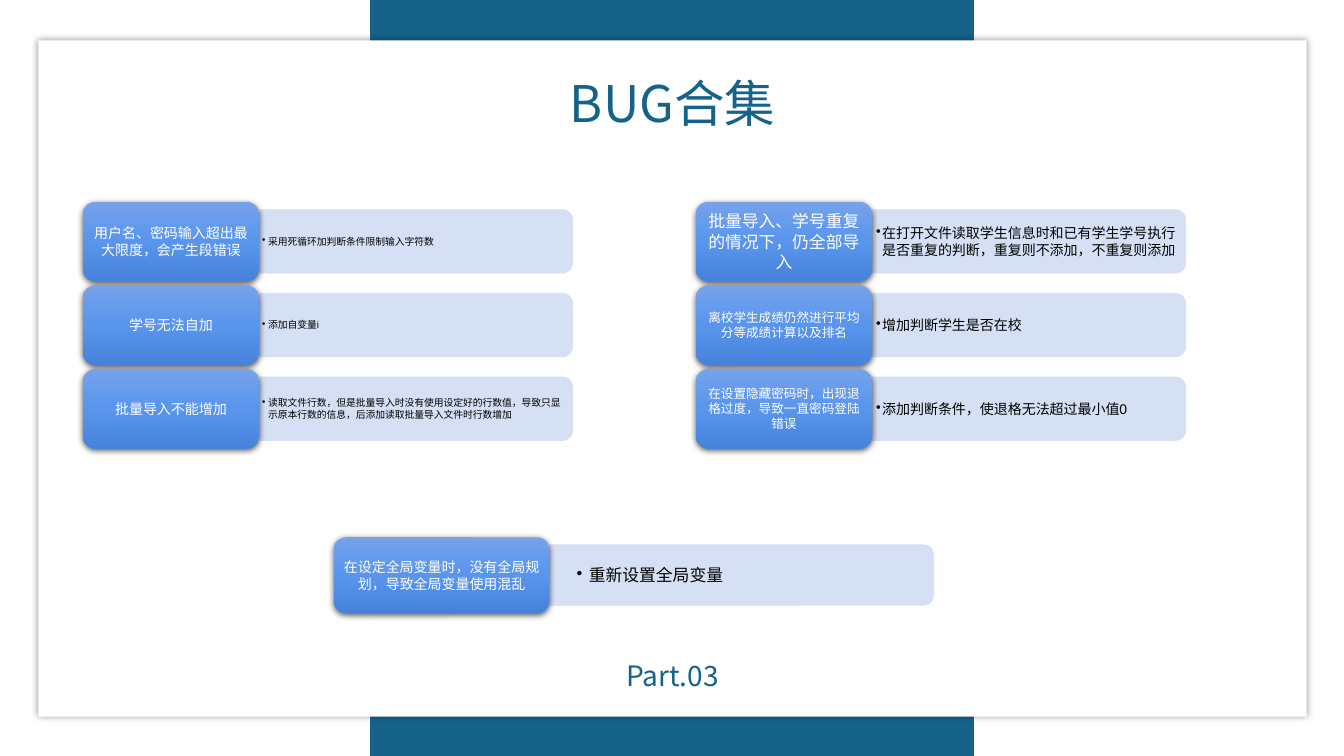
from dataclasses import dataclass

from lxml import etree
from pptx import Presentation
from pptx.dml.color import RGBColor
from pptx.enum.shapes import MSO_SHAPE
from pptx.enum.text import MSO_ANCHOR, MSO_AUTO_SIZE, PP_ALIGN
from pptx.oxml.ns import qn
from pptx.util import Inches, Pt

RECT = MSO_SHAPE.RECTANGLE
ROUNDED = MSO_SHAPE.ROUNDED_RECTANGLE
ROUND_TOP = MSO_SHAPE.ROUND_2_SAME_RECTANGLE
MIDDLE = MSO_ANCHOR.MIDDLE
CENTER, LEFT = PP_ALIGN.CENTER, PP_ALIGN.LEFT


@dataclass(frozen=True)
class Theme:
    brand: str = "156389"
    paper: str = "FFFFFF"
    ink: str = "000000"
    bar: str = "D2DDF5"
    card: tuple = ("76A2EA", "5995ED", "4783DA")
    body_font: str = "Arial"
    head_font: str = "Noto Sans CJK SC"
    title_size: int = 36
    part_size: int = 20


class Deck:
    def __init__(self, prs, theme):
        self.theme = theme
        self.shapes = prs.slides.add_slide(prs.slide_layouts[6]).shapes

    def shape(self, kind, x, y, w, h, color):
        s = self.shapes.add_shape(kind, Inches(x), Inches(y), Inches(w), Inches(h))
        s.shadow.inherit = False
        s.fill.solid()
        s.fill.fore_color.rgb = RGBColor.from_string(color)
        s.line.fill.background()
        return s

    def shadow(self, s, alpha, blur, dist):
        """Add a black shadow falling straight down; blur and dist are in points."""
        effects = s._element.spPr.find(qn("a:effectLst"))
        outer = etree.SubElement(effects, qn("a:outerShdw"), blurRad=str(Pt(blur)),
                                 dist=str(Pt(dist)), dir="5400000", rotWithShape="0")
        color = etree.SubElement(outer, qn("a:srgbClr"), val=self.theme.ink)
        etree.SubElement(color, qn("a:alpha"), val=str(alpha * 1000))

    def set_text(self, s, text, size, color, font, align=CENTER, insets=(0.1, 0.05)):
        tf = s.text_frame
        tf.word_wrap = True
        tf.margin_left = tf.margin_right = Inches(insets[0])
        tf.margin_top = tf.margin_bottom = Inches(insets[1])
        p = tf.paragraphs[0]
        p.text = text
        p.alignment = align
        p.font.size = Pt(size)
        p.font.name = font
        p.font.color.rgb = RGBColor.from_string(color)
        return tf

    def textbox(self, x, y, w, h):
        return self.shapes.add_textbox(Inches(x), Inches(y), Inches(w), Inches(h))

    def heading(self, x, y, w, h, text, size):
        s = self.textbox(x, y, w, h)
        tf = self.set_text(s, text, size, self.theme.brand, self.theme.head_font)
        tf.auto_size = MSO_AUTO_SIZE.SHAPE_TO_FIT_TEXT
        rPr = tf.paragraphs[0].runs[0]._r.get_or_add_rPr()
        etree.SubElement(rPr, qn("a:ea"), typeface=self.theme.head_font)

    def bar(self, x, y, w, h):
        """Draw a bar rounded on its right end: a round-top shape turned by 90 degrees."""
        s = self.shape(ROUND_TOP, x + (w - h) / 2, y + (h - w) / 2, h, w, self.theme.bar)
        s.rotation = 90
        s.line.color.rgb = RGBColor.from_string(self.theme.bar)
        s.line.width = Pt(0.5)
        for color in s._element.spPr.iter(qn("a:srgbClr")):
            etree.SubElement(color, qn("a:alpha"), val="90000")

    def bullet(self, x, y, w, h, text, size, insets, indent):
        s = self.textbox(x, y, w, h)
        tf = self.set_text(s, text, size, self.theme.ink, self.theme.body_font, LEFT, insets)
        tf.vertical_anchor = MIDDLE
        pPr = tf.paragraphs[0]._p.get_or_add_pPr()
        pPr.set("marL", str(Inches(indent)))
        pPr.set("indent", str(-Inches(indent)))
        mark = etree.Element(qn("a:buChar"), char="•")
        pPr.find(qn("a:defRPr")).addprevious(mark)

    def card(self, x, y, w, h, text, size, insets):
        s = self.shape(ROUNDED, x, y, w, h, self.theme.card[0])
        s.fill.gradient()
        s.fill.gradient_angle = 270
        stops = s._element.spPr.find(qn("a:gradFill")).find(qn("a:gsLst"))
        for stop in list(stops):
            stops.remove(stop)
        for i, color in enumerate(self.theme.card):
            stop = etree.SubElement(stops, qn("a:gs"), pos=str(i * 50000))
            etree.SubElement(stop, qn("a:srgbClr"), val=color)
        self.shadow(s, 63, 4.5, 1.5)
        tf = self.set_text(s, text, size, self.theme.paper, self.theme.body_font, insets=insets)
        tf.vertical_anchor = MIDDLE

    def bug(self, x, y, card, bar, cause, fix, fix_insets, indent=0.06):
        """Place a cause card with its fix on a bar; card and bar are (width, height)."""
        (card_w, card_h), (bar_w, bar_h) = card, bar
        bar_x, bar_y = x + card_w, y + (card_h - bar_h) / 2
        self.bar(bar_x, bar_y, bar_w, bar_h)
        self.bullet(bar_x, bar_y + 0.03, bar_w - 0.03, bar_h - 0.06, *fix, fix_insets, indent)
        cause_insets = (0.05, 0.03) if cause[1] > 10 else (0.04, 0.02)
        self.card(x, y, card_w, card_h, *cause, cause_insets)


COLUMNS = [
    (0.82, (0.03, 0.01), [
        (("用户名、密码输入超出最大限度，会产生段错误", 10), ("采用死循环加判断条件限制输入字符数", 7)),
        (("学号无法自加", 10), ("添加自变量i", 7)),
        (("批量导入不能增加", 10),
         ("读取文件行数，但是批量导入时没有使用设定好的行数值，"
          "导致只显示原本行数的信息，后添加读取批量导入文件时行数增加", 7)),
    ]),
    (6.9, (0.04, 0.02), [
        (("批量导入、学号重复的情况下，仍全部导入", 12),
         ("在打开文件读取学生信息时和已有学生学号执行是否重复的判断，重复则不添加，不重复则添加", 10)),
        (("离校学生成绩仍然进行平均分等成绩计算以及排名", 9), ("增加判断学生是否在校", 10)),
        (("在设置隐藏密码时，出现退格过度，导致一直密码登陆错误", 9),
         ("添加判断条件，使退格无法超过最小值0", 10)),
    ]),
]
GLOBAL_BUG = (("在设定全局变量时，没有全局规划，导致全局变量使用混乱", 10), ("重新设置全局变量", 12))
TOP, PITCH = 2, 0.83


def main():
    prs = Presentation()
    prs.slide_width, prs.slide_height = Inches(13.33), Inches(7.5)
    theme = Theme()
    deck = Deck(prs, theme)

    deck.shape(RECT, 3.67, 0, 5.99, 7.5, theme.brand)
    panel = deck.shape(ROUNDED, 0.38, 0.4, 12.58, 6.71, theme.paper)
    panel.adjustments[0] = 0
    deck.shadow(panel, 40, 5, 0)

    for x, fix_insets, bugs in COLUMNS:
        for row, (cause, fix) in enumerate(bugs):
            deck.bug(x, TOP + row * PITCH, (1.75, 0.79), (3.11, 0.63), cause, fix, fix_insets)
    deck.bug(3.31, 5.33, (2.14, 0.75), (3.81, 0.6), *GLOBAL_BUG, (0.27, 0.14), 0.12)

    deck.heading(4.06, 0.67, 5.22, 0.71, "BUG合集", theme.title_size)
    deck.heading(6, 6.48, 1.34, 0.44, "Part.03", theme.part_size)
    prs.save("out.pptx")


if __name__ == "__main__":
    main()
